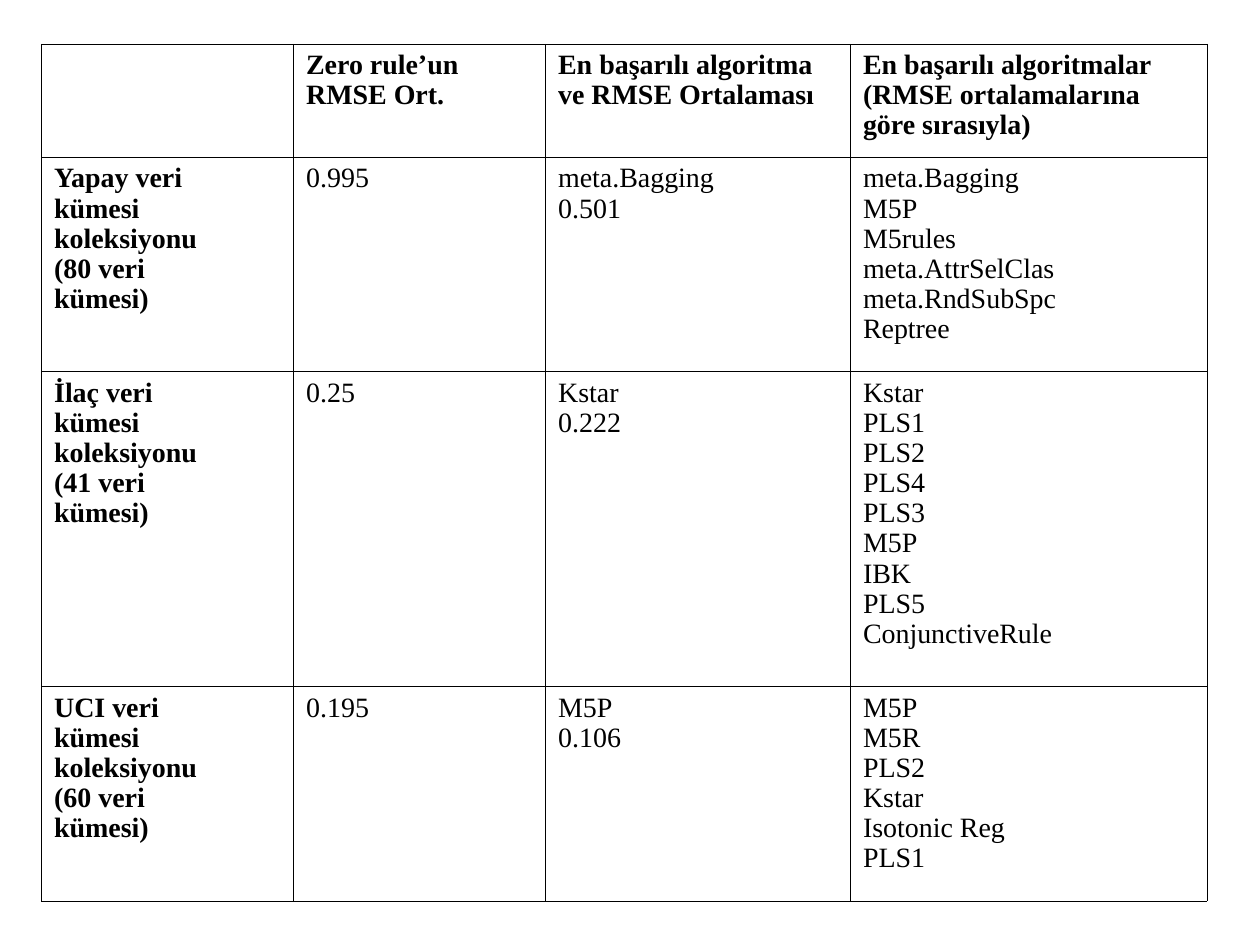
"""Build a slide with a table of the most successful regression algorithms."""
from lxml import etree
from pptx import Presentation
from pptx.dml.color import RGBColor
from pptx.enum.text import PP_ALIGN
from pptx.oxml.ns import qn
from pptx.util import Inches, Pt

LEFT, JUSTIFY = PP_ALIGN.LEFT, PP_ALIGN.JUSTIFY
THEME = {"font": "Times New Roman", "size": 16, "ink": "000000",
         "rule": 0.45, "spacing": 0.97, "indent": 0.38}

HEADS = [
    [],
    ["Zero rule’un", "RMSE Ort."],
    ["En başarılı algoritma", "ve RMSE Ortalaması"],
    ["En başarılı algoritmalar", "(RMSE ortalamalarına", "göre sırasıyla)"],
]
SETS = [
    ("Yapay", 80, "0.995", ["meta.Bagging", "0.501"],
     ["meta.Bagging", "M5P", "M5rules", "meta.AttrSelClas",
      "meta.RndSubSpc", "Reptree"]),
    ("İlaç", 41, "0.25", ["Kstar", "0.222"],
     ["Kstar", "PLS1", "PLS2", "PLS4", "PLS3", "M5P", "IBK", "PLS5",
      "ConjunctiveRule"]),
    ("UCI", 60, "0.195", ["M5P", "0.106"],
     ["M5P", "M5R", "PLS2", "Kstar", "Isotonic Reg", "PLS1"]),
]
WIDTHS = [2, 2, 2.42, 2.83]
HEIGHTS = [0.9, 1.7, 2.5, 1.7]
LEFT_CELLS = {(2, 3), (3, 2), (3, 3)}


def set_label(name, count):
    return [f"{name} veri", "kümesi", "koleksiyonu", f"({count} veri", "kümesi)"]


def add_border(cell):
    props = cell._tc.get_or_add_tcPr()
    for side in ("lnL", "lnR", "lnT", "lnB"):
        line = etree.SubElement(props, qn(f"a:{side}"), w=str(Pt(THEME["rule"])))
        fill = etree.SubElement(line, qn("a:solidFill"))
        etree.SubElement(fill, qn("a:srgbClr"), val=THEME["ink"])


def fill_cell(cell, lines, bold, align):
    add_border(cell)
    cell.fill.background()
    frame = cell.text_frame
    for i, text in enumerate(lines):
        para = frame.add_paragraph() if i else frame.paragraphs[0]
        para.alignment = align
        para.line_spacing = THEME["spacing"]
        props = para._p.get_or_add_pPr()
        indent = Inches(THEME["indent"])
        props.set("marL", str(indent))
        props.set("indent", str(-indent))
        run = para.add_run()
        run.text = text
        font = run.font
        font.name, font.size, font.bold = THEME["font"], Pt(THEME["size"]), bold
        font.color.rgb = RGBColor.from_string(THEME["ink"])


def main():
    deck = Presentation()
    deck.slide_width, deck.slide_height = Inches(10), Inches(7.5)
    slide = deck.slides.add_slide(deck.slide_layouts[6])
    rows = [HEADS] + [[set_label(name, count), [zero], best, ranks]
                      for name, count, zero, best, ranks in SETS]
    table = slide.shapes.add_table(
        len(rows), len(WIDTHS), Inches(0.33), Inches(0.35),
        Inches(sum(WIDTHS)), Inches(sum(HEIGHTS))).table
    table.first_row = table.horz_banding = False
    for col, width in zip(table.columns, WIDTHS):
        col.width = Inches(width)
    for r, (row, height) in enumerate(zip(rows, HEIGHTS)):
        table.rows[r].height = Inches(height)
        for c, lines in enumerate(row):
            align = LEFT if (r, c) in LEFT_CELLS else JUSTIFY
            fill_cell(table.cell(r, c), lines, r == 0 or c == 0, align)
    deck.save("out.pptx")


if __name__ == "__main__":
    main()
